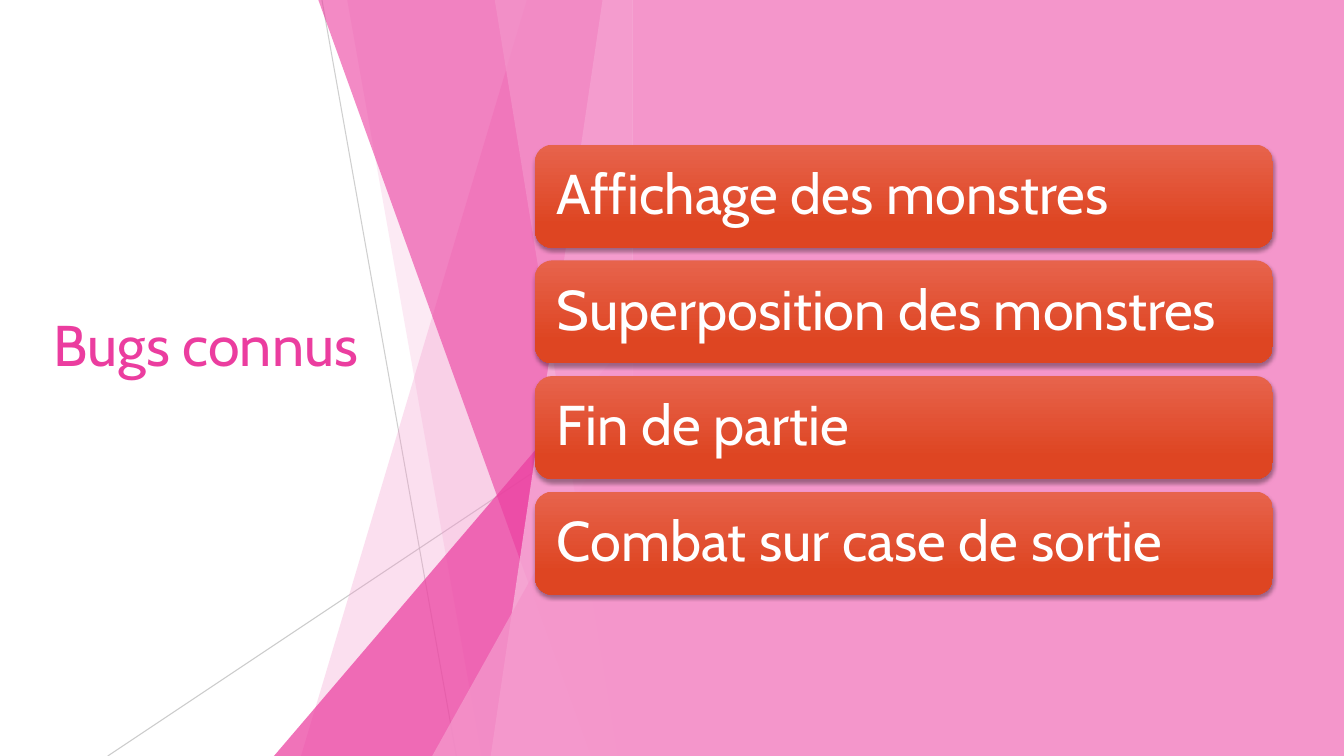
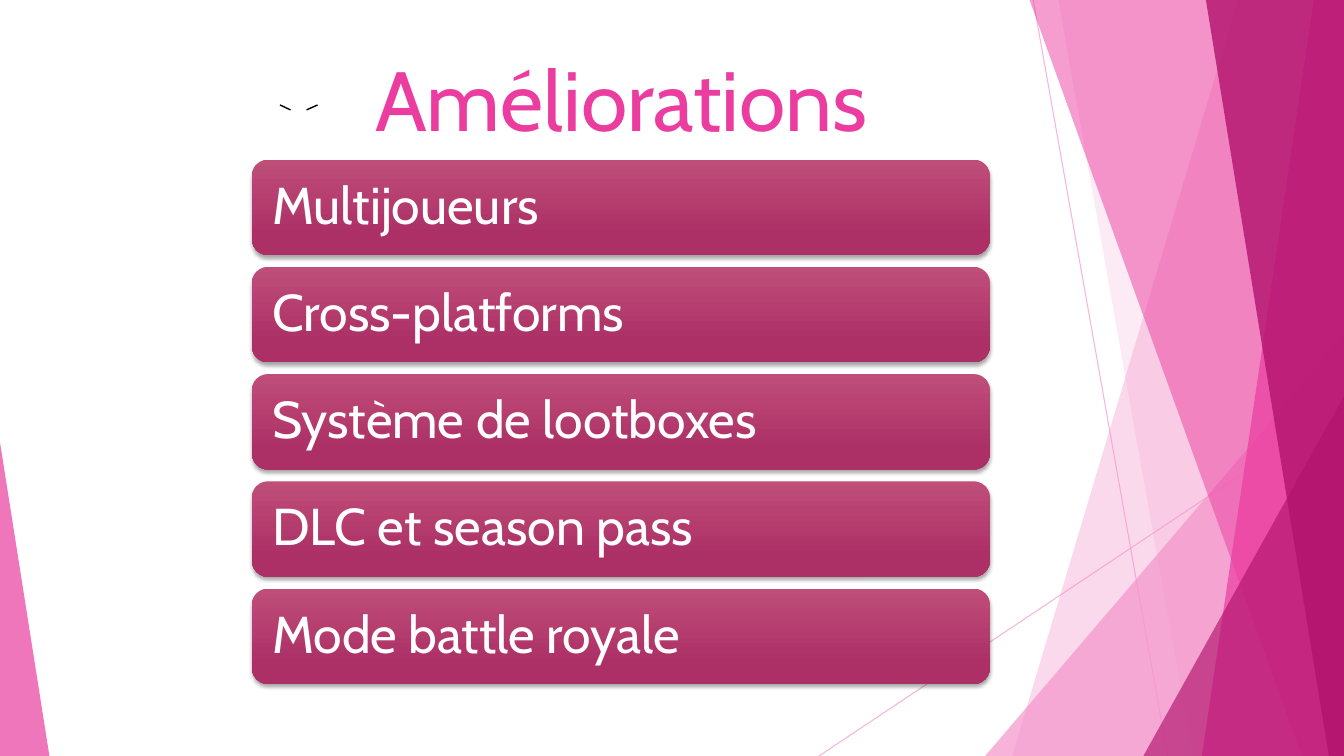
from pptx import Presentation
from pptx.dml.color import RGBColor
from pptx.enum.shapes import MSO_CONNECTOR, MSO_SHAPE
from pptx.enum.text import MSO_ANCHOR, PP_ALIGN
from pptx.oxml.ns import qn
from pptx.util import Pt
from lxml import etree

STRAIGHT = MSO_CONNECTOR.STRAIGHT
RECTANGLE = MSO_SHAPE.RECTANGLE
ROUNDED = MSO_SHAPE.ROUNDED_RECTANGLE
TRIANGLE = MSO_SHAPE.ISOSCELES_TRIANGLE
LEFT, CENTER = PP_ALIGN.LEFT, PP_ALIGN.CENTER
MIDDLE, BOTTOM = MSO_ANCHOR.MIDDLE, MSO_ANCHOR.BOTTOM

WIDTH, HEIGHT = 960, 540
FONT = "Cabin"
BLACK = RGBColor(0x00, 0x00, 0x00)
WHITE = RGBColor(0xFF, 0xFF, 0xFF)
GRAY = RGBColor(0xBF, 0xBF, 0xBF)
PINK = RGBColor(0xF4, 0x96, 0xCB)
PALE_PINK = RGBColor(0xF8, 0xC0, 0xE0)
MAGENTA = RGBColor(0xEB, 0x3D, 0x9F)
PLUM = RGBColor(0xB2, 0x13, 0x6D)
ORANGE_GRADIENT = (RGBColor(0xE7, 0x63, 0x4C), RGBColor(0xDE, 0x45, 0x22))
BERRY_GRADIENT = (RGBColor(0xBF, 0x4E, 0x79), RGBColor(0xAC, 0x30, 0x66))

# Horizontal positions are offsets from the right edge of the facets.
FACET_LINES = [(-222, 0, -126, HEIGHT), (0, 290, -375, HEIGHT)]
# A band gives its top and bottom x; a triangle gives its left x and top y.
FACETS = [
    ("band", -75.6, -237),
    ("band", -204, -108),
    ("triangle", -256.3, 240),
    ("band", -224.6, -30),
    ("band", -21.6, -101.5),
    ("band", -98.6, -10.8),
    ("triangle", -143.3, 283),
]

BUGS = {
    "title": "Bugs connus",
    "title_box": (31, 84, 279.4, 322.6),
    "title_style": (41, LEFT, MIDDLE),
    "facet_edge": 452,
    "facet_lines": [(GRAY, 75), (GRAY, 80)],
    "facet_fills": [(PINK, 30), (PINK, 20), (MAGENTA, 72), (MAGENTA, 60),
                    (PALE_PINK, 70), (PINK, 65), (PINK, 80)],
    "cards": ["Affichage des monstres", "Superposition des monstres",
              "Fin de partie", "Combat sur case de sortie"],
    "card_box": (382.2, 103.4, 527, 73.6),
    "card_gap": 9,
    "card_size": 40,
    "card_gradient": ORANGE_GRADIENT,
}
IMPROVEMENTS = {
    "title": "Améliorations",
    "title_box": (123, 23, 641.5, 86.4),
    "title_style": (60, CENTER, BOTTOM),
    "facet_edge": WIDTH,
    "facet_lines": [(PINK, 70), (PINK, 70)],
    "facet_fills": [(PINK, 36), (PINK, 20), (PINK, 72), (MAGENTA, 50),
                    (MAGENTA, 70), (PLUM, 80), (PLUM, 66)],
    "cards": ["Multijoueurs", "Cross-platforms", "Système de lootboxes",
              "DLC et season pass", "Mode battle royale"],
    "card_box": (180, 114, 527, 68.2),
    "card_gap": 8.4,
    "card_size": 37,
    "card_gradient": BERRY_GRADIENT,
}
ACCENT_TICKS = [(200, 75, 207.5, 78.5), (226.8, 75, 219, 78.5)]


def points(values):
    return [Pt(value) for value in values]


def set_opacity(shape, percent):
    for color in shape._element.spPr.iter(qn("a:srgbClr")):
        etree.SubElement(color, qn("a:alpha"), val=str(percent * 1000))


def paint(shape, color, opacity=100):
    shape.shadow.inherit = False
    shape.line.fill.background()
    shape.fill.solid()
    shape.fill.fore_color.rgb = color
    if opacity < 100:
        set_opacity(shape, opacity)


def add_line(slide, ends, color, width, opacity=100):
    line = slide.shapes.add_connector(STRAIGHT, *points(ends))
    line.line.color.rgb = color
    line.line.width = Pt(width)
    if opacity < 100:
        set_opacity(line, opacity)
    etree.SubElement(line._element.spPr, qn("a:effectLst"))


def add_triangle(slide, box, apex, color, opacity):
    """Draw a right triangle; apex is 0 for the left side, 1 for the right."""
    triangle = slide.shapes.add_shape(TRIANGLE, *points(box))
    triangle.adjustments[0] = apex
    paint(triangle, color, opacity)


def add_band(slide, top_x, bottom_x, edge, color, opacity):
    """Fill from a slanted left side to the vertical line at edge."""
    builder = slide.shapes.build_freeform(Pt(top_x), 0)
    corners = [(edge, 0), (edge, HEIGHT), (bottom_x, HEIGHT)]
    builder.add_line_segments([points(corner) for corner in corners])
    paint(builder.convert_to_shape(), color, opacity)


def add_facets(slide, content):
    edge = content["facet_edge"]
    for (x1, y1, x2, y2), (color, opacity) in zip(FACET_LINES, content["facet_lines"]):
        add_line(slide, (edge + x1, y1, edge + x2, y2), color, 0.75, opacity)
    for (kind, first, second), fill in zip(FACETS, content["facet_fills"]):
        if kind == "band":
            add_band(slide, edge + first, edge + second, edge, *fill)
        else:
            box = (edge + first, second, -first, HEIGHT - second)
            add_triangle(slide, box, 1, *fill)


def write(shape, text, size, color, alignment, anchor):
    frame = shape.text_frame
    frame.text = text
    frame.word_wrap = True
    frame.vertical_anchor = anchor
    paragraph = frame.paragraphs[0]
    paragraph.alignment = alignment
    font = paragraph.runs[0].font
    font.name = FONT
    font.size = Pt(size)
    font.color.rgb = color


def add_title(slide, content):
    title = slide.shapes.add_textbox(*points(content["title_box"]))
    size, alignment, anchor = content["title_style"]
    write(title, content["title"], size, MAGENTA, alignment, anchor)


def add_shadow(shape):
    shape.shadow.inherit = False
    effects = shape._element.spPr.find(qn("a:effectLst"))
    shadow = etree.SubElement(
        effects, qn("a:outerShdw"), blurRad=str(Pt(3)), dist=str(Pt(2)),
        dir="5400000", rotWithShape="0")
    color = etree.SubElement(shadow, qn("a:srgbClr"), val=str(BLACK))
    etree.SubElement(color, qn("a:alpha"), val="35000")


def add_cards(slide, content):
    left, top, width, height = content["card_box"]
    size = content["card_size"]
    for index, text in enumerate(content["cards"]):
        y = top + index * (height + content["card_gap"])
        card = slide.shapes.add_shape(ROUNDED, *points((left, y, width, height)))
        card.line.fill.background()
        card.fill.gradient()
        card.fill.gradient_angle = 270
        stops = zip(card.fill.gradient_stops, content["card_gradient"], (0, 0.78))
        for stop, color, position in stops:
            stop.color.rgb = color
            stop.position = position
        add_shadow(card)
        write(card, text, size, WHITE, LEFT, MIDDLE)
        card.text_frame.paragraphs[0].line_spacing = 0.9
        frame = card.text_frame
        frame.margin_left = frame.margin_right = Pt(0.3 * size)
        frame.margin_top = frame.margin_bottom = Pt(0.3 * size)


def add_slide(presentation, content):
    slide = presentation.slides.add_slide(presentation.slide_layouts[6])
    add_facets(slide, content)
    add_title(slide, content)
    return slide


def main():
    presentation = Presentation()
    presentation.slide_width = Pt(WIDTH)
    presentation.slide_height = Pt(HEIGHT)

    slide = add_slide(presentation, BUGS)
    edge = BUGS["facet_edge"]
    panel = slide.shapes.add_shape(RECTANGLE, *points((edge, 0, WIDTH - edge, HEIGHT)))
    paint(panel, PINK)
    add_cards(slide, BUGS)

    slide = add_slide(presentation, IMPROVEMENTS)
    add_triangle(slide, (0, 316, 35.3, HEIGHT - 316), 0, MAGENTA, 70)
    add_cards(slide, IMPROVEMENTS)
    for tick in ACCENT_TICKS:
        add_line(slide, tick, BLACK, 1)

    presentation.save("out.pptx")


if __name__ == "__main__":
    main()
